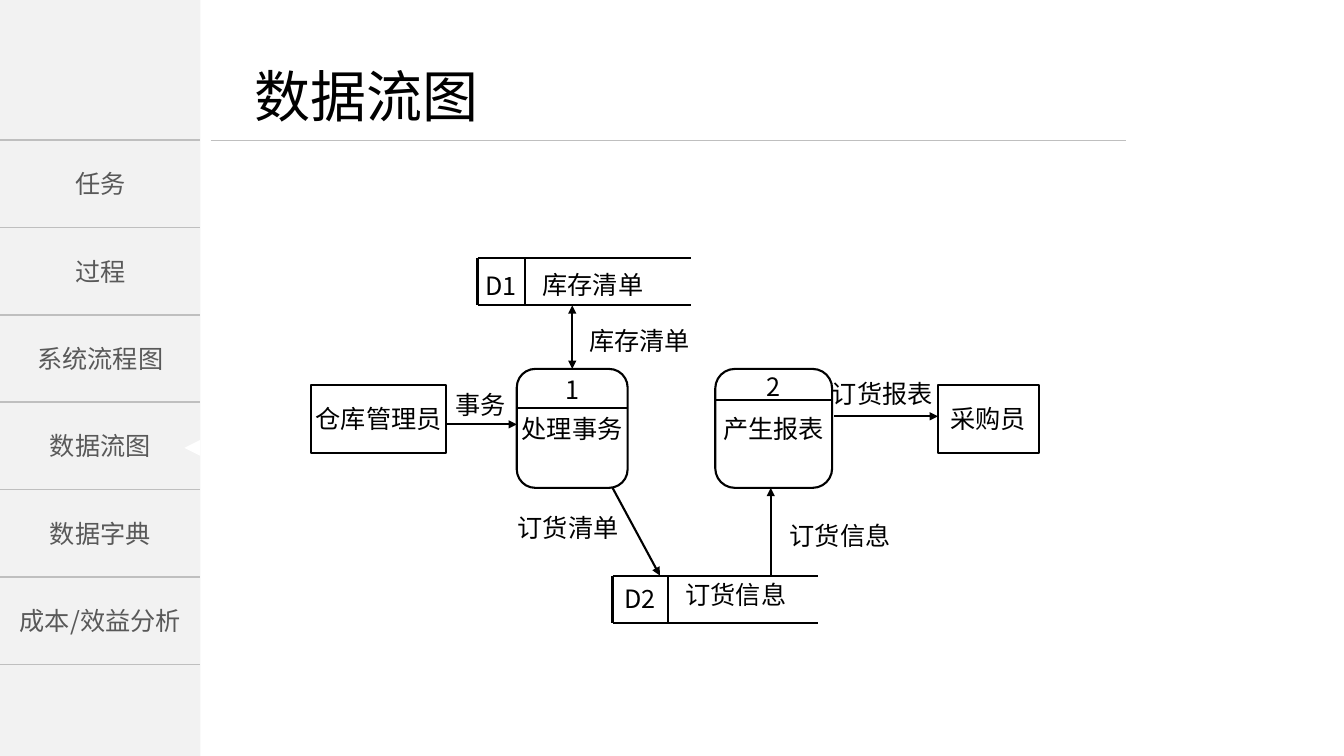
from lxml import etree
from pptx import Presentation
from pptx import util as u
from pptx.dml.color import RGBColor
from pptx.enum import shapes, text
from pptx.oxml.ns import qn

BLACK = RGBColor(0x00, 0x00, 0x00)
WHITE = RGBColor(0xFF, 0xFF, 0xFF)
PANEL = RGBColor(0xF2, 0xF2, 0xF2)
RULE = RGBColor(0xBF, 0xBF, 0xBF)
NAV_TEXT = RGBColor(0x59, 0x59, 0x59)

CJK = "Noto Sans CJK SC"
LATIN = "Calibri"
CELL = u.Inches(0.1)  # side of one grid square
COLS, ROWS = 133.4, 75

NAV_ITEMS = ["任务", "过程", "系统流程图", "数据流图", "数据字典", "成本/效益分析"]
NAV_WIDTH, NAV_TOP, NAV_BOTTOM = 19.9, 13.9, 65.9

FLOW_LABELS = [
    ("事务", 44.2, 38.1, 7.6),
    ("库存清单", 57.5, 31.8, 16.4),
    ("订货清单", 50.4, 50.3, 14.6),
    ("订货信息", 77.4, 51.1, 13.2),
    ("订货报表", 81.6, 37, 13),
]


def grid(*cells):
    return [round(n * CELL) for n in cells]


class Diagram:
    """Draws on one slide; every length is in grid squares."""

    def __init__(self, slide):
        self.shapes = slide.shapes

    def set_text(self, sp, words, size=18, color=BLACK, font=CJK, center=True,
                 middle=True, wrap=False):
        tf = sp.text_frame
        tf.text = words
        tf.word_wrap = wrap
        tf.auto_size = text.MSO_AUTO_SIZE.NONE
        tf.vertical_anchor = text.MSO_ANCHOR.MIDDLE if middle else text.MSO_ANCHOR.TOP
        p = tf.paragraphs[0]
        p.alignment = text.PP_ALIGN.CENTER if center else text.PP_ALIGN.LEFT
        r = p.runs[0]
        r.font.size = u.Pt(size)
        r.font.color.rgb = color
        r.font.name = font
        etree.SubElement(r._r.get_or_add_rPr(), qn("a:ea"), typeface=CJK)

    def label(self, words, x, y, w, h=4, **style):
        sp = self.shapes.add_textbox(*grid(x, y, w, h))
        self.set_text(sp, words, **{"middle": False, **style})

    def shape(self, kind, x, y, w, h, fill=None, line=None):
        sp = self.shapes.add_shape(kind, *grid(x, y, w, h))
        sp.shadow.inherit = False
        if fill is None:
            sp.fill.background()
        else:
            sp.fill.solid()
            sp.fill.fore_color.rgb = fill
        if line is None:
            sp.line.fill.background()
        else:
            sp.line.color.rgb = line
            sp.line.width = u.Pt(1.5)
        return sp

    def line(self, x1, y1, x2, y2, color=BLACK, width=1.5, ends=()):
        """Straight line; ends lists the arrowheads, headEnd before tailEnd."""
        cn = self.shapes.add_connector(shapes.MSO_CONNECTOR.STRAIGHT,
                                       *grid(x1, y1, x2, y2))
        cn.line.color.rgb = color
        cn.line.width = u.Pt(width)
        properties = cn._element.spPr
        for end in ends:
            etree.SubElement(properties.find(qn("a:ln")), qn(f"a:{end}"),
                             type="triangle")
        etree.SubElement(properties, qn("a:effectLst"))
        return cn

    def arrow(self, x1, y1, x2, y2):
        self.line(x1, y1, x2, y2, ends=["tailEnd"])

    def entity(self, words, x, y, w, h=6.7):
        sp = self.shape(shapes.MSO_SHAPE.FLOWCHART_PROCESS, x, y, w, h, line=BLACK)
        self.set_text(sp, words)

    def process(self, number, words, x, y, w, divider, number_y, h=11.8):
        sp = self.shape(shapes.MSO_SHAPE.FLOWCHART_ALTERNATE_PROCESS, x, y, w, h,
                        line=BLACK)
        self.set_text(sp, words)
        self.line(x, divider, x + w, divider)
        self.label(number, x, number_y, w)
        return sp

    def store(self, code, words, x, y, w, code_w, code_y, words_y, h=4.7):
        """Data store: an open-ended box with a code cell on the left."""
        for edge in (y, y + h):
            self.line(x, edge, x + w, edge)
        for side in (x, x + code_w):
            self.line(side, y, side, y + h)
        self.label(code, x, code_y, code_w)
        self.label(words, x + code_w + 0.75, words_y, 12)

    def navigation(self, items, current):
        self.shape(shapes.MSO_SHAPE.RECTANGLE, 0, 0, NAV_WIDTH, ROWS, fill=PANEL)
        step = (NAV_BOTTOM - NAV_TOP) / len(items)
        for i, item in enumerate(items):
            self.label(item, 0, NAV_TOP + i * step, NAV_WIDTH, step,
                       color=NAV_TEXT, middle=True, wrap=True)
        for i in range(len(items) + 1):
            y = NAV_TOP + i * step
            self.line(0, y, NAV_WIDTH, y, RULE, 1)
        side = 1.6
        marker_y = NAV_TOP + (items.index(current) + 0.5) * step - side / 2
        marker = self.shape(shapes.MSO_SHAPE.ISOSCELES_TRIANGLE,
                            NAV_WIDTH - side, marker_y + 0.2, side, side, fill=WHITE)
        marker.rotation = 270


def main():
    prs = Presentation()
    prs.slide_width, prs.slide_height = grid(COLS, ROWS)
    d = Diagram(prs.slides.add_slide(prs.slide_layouts[6]))

    d.line(20.9, 13.9, 111.8, 13.9, RULE, 0.5)
    d.label("数据流图", 24.3, 5.6, 24.2, 7.7, size=40, center=False)
    d.navigation(NAV_ITEMS, "数据流图")

    d.entity("仓库管理员", 30.9, 38.2, 13.4)
    d.entity("采购员", 93.1, 38.2, 10)
    handle = d.process("1", "处理事务", 51.3, 36.6, 11, 40.5, 36.6)
    d.process("2", "产生报表", 71, 36.6, 11.6, 39.7, 36.3)
    d.store("D1", "库存清单", 47.4, 25.6, 21.2, 4.7, 26.3, 26.2)
    d.store("D2", "订货信息", 60.8, 57.1, 20.4, 5.5, 57.4, 57)

    d.arrow(44.2, 42.1, 51.3, 42.1)
    stock = d.line(56.8, 30.3, 56.8, 36.6, ends=["headEnd", "tailEnd"])
    stock.end_connect(handle, 0)
    d.arrow(82.8, 41.3, 93.1, 41.3)
    d.arrow(60.8, 48.4, 65.5, 57.1)
    d.arrow(76.5, 57.1, 76.5, 48.4)

    for words, x, y, w in FLOW_LABELS:
        d.label(words, x, y, w, font=LATIN, center=False, wrap=True)

    prs.save("out.pptx")


if __name__ == "__main__":
    main()
